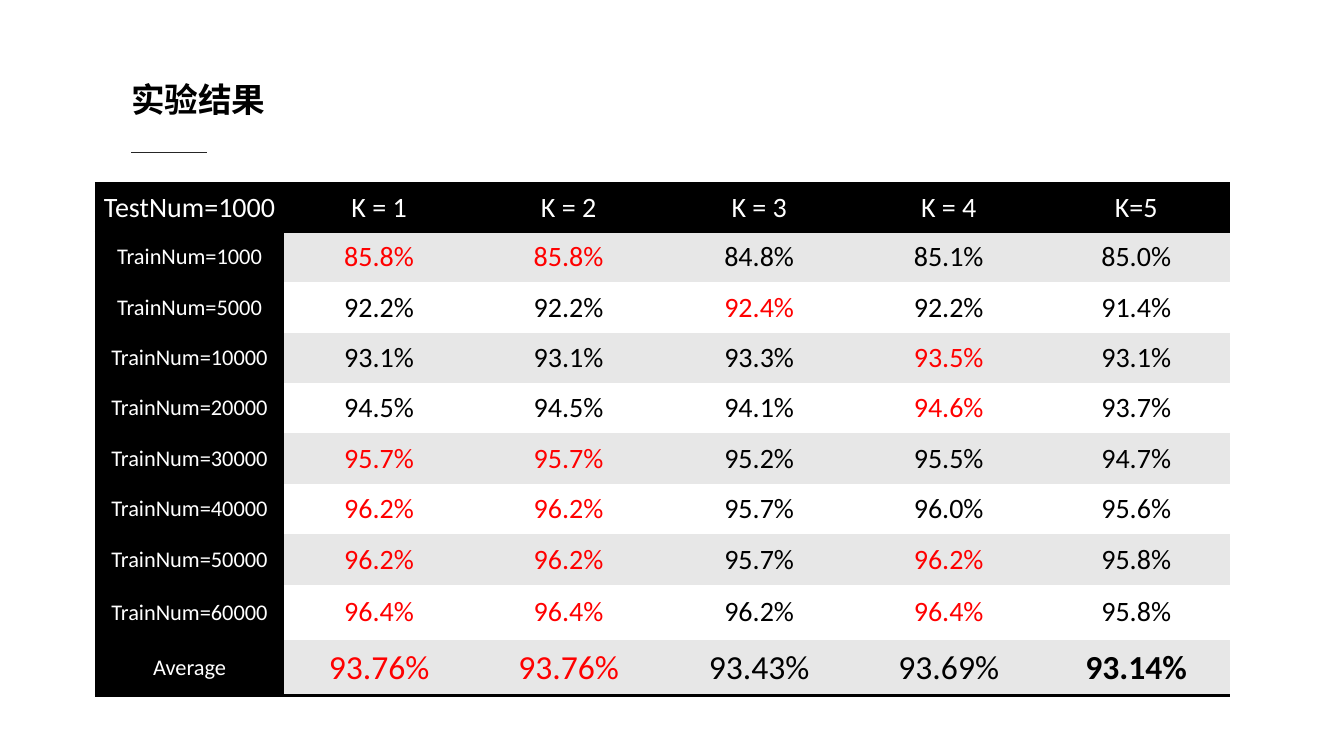
"""Build the slide of test results by training size and K."""
from dataclasses import dataclass

from lxml.etree import SubElement as Sub
from pptx import Presentation
from pptx.dml.color import RGBColor as Rgb
from pptx.enum.shapes import MSO_CONNECTOR as Conn
from pptx.enum.text import MSO_ANCHOR as Anchor, MSO_AUTO_SIZE as Auto, PP_ALIGN as Align
from pptx.oxml.ns import qn
from pptx.slide import Slide
from pptx.table import _Cell as Cell
from pptx.text.text import _Paragraph as Para
from pptx.util import Inches, Pt


@dataclass(frozen=True)
class Theme:
    black: str = "000000"
    white: str = "FFFFFF"
    band: str = "E7E7E7"
    best: str = "FF0000"
    rule: str = "262626"
    latin: str = "Calibri"
    han: str = "Noto Sans CJK SC"
    title: int = 24
    total: int = 24
    value: int = 20
    label: int = 16
    edge: int = 2
    plain: str = "{2D5ABB26-0587-4C30-8999-92F81FD0307C}"


@dataclass(frozen=True)
class Look:
    size: int
    color: str
    font: str
    bold: bool = False


@dataclass(frozen=True)
class Result:
    label: str
    rates: tuple[str, ...]
    total: bool = False


THEME = Theme()
HEADS = ("TestNum=1000", "K = 1", "K = 2", "K = 3", "K = 4", "K=5")
RESULTS = (
    Result("TrainNum=1000", ("85.8%", "85.8%", "84.8%", "85.1%", "85.0%")),
    Result("TrainNum=5000", ("92.2%", "92.2%", "92.4%", "92.2%", "91.4%")),
    Result("TrainNum=10000", ("93.1%", "93.1%", "93.3%", "93.5%", "93.1%")),
    Result("TrainNum=20000", ("94.5%", "94.5%", "94.1%", "94.6%", "93.7%")),
    Result("TrainNum=30000", ("95.7%", "95.7%", "95.2%", "95.5%", "94.7%")),
    Result("TrainNum=40000", ("96.2%", "96.2%", "95.7%", "96.0%", "95.6%")),
    Result("TrainNum=50000", ("96.2%", "96.2%", "95.7%", "96.2%", "95.8%")),
    Result("TrainNum=60000", ("96.4%", "96.4%", "96.2%", "96.4%", "95.8%")),
    Result("Average", ("93.76%", "93.76%", "93.43%", "93.69%", "93.14%"), True),
)
WIDTHS = (1.88, 1.88, 1.88, 1.9, 1.86, 1.86)
HEIGHTS = (0.48, *[0.5] * 7, 0.55, 0.55)


def add_run(para: Para, text: str, look: Look) -> None:
    """Add one styled run to a paragraph."""
    run = para.add_run()
    run.text = text
    font = run.font
    font.size, font.bold, font.name = Pt(look.size), look.bold, look.font
    font.color.rgb = Rgb.from_string(look.color)
    Sub(run._r.get_or_add_rPr(), qn("a:ea"), typeface=look.font)


def add_edge(cell: Cell, side: str) -> None:
    """Draw a solid border on one side of a cell."""
    line = Sub(cell._tc.get_or_add_tcPr(), qn(f"a:ln{side}"), w=str(Pt(THEME.edge)))
    Sub(Sub(line, qn("a:solidFill")), qn("a:srgbClr"), val=THEME.black)


def fill_cell(cell: Cell, text: str, look: Look, fill: str, edges: str) -> None:
    """Set the borders, fill and text of a cell."""
    for side in edges:
        add_edge(cell, side)
    cell.fill.solid()
    cell.fill.fore_color.rgb = Rgb.from_string(fill)
    cell.vertical_anchor = Anchor.MIDDLE
    cell.margin_left = cell.margin_right = Inches(0.03)
    cell.margin_top = cell.margin_bottom = Inches(0.03)
    para = cell.text_frame.paragraphs[0]
    para.alignment = Align.CENTER
    add_run(para, text, look)


def add_title(slide: Slide) -> None:
    """Add the heading and the short rule below it."""
    box = slide.shapes.add_textbox(Inches(1.23), Inches(0.74), Inches(4.6), Inches(0.48))
    frame = box.text_frame
    frame.word_wrap, frame.auto_size = True, Auto.SHAPE_TO_FIT_TEXT
    frame.margin_left = frame.margin_right = Inches(0.07)
    frame.margin_top = frame.margin_bottom = Inches(0.04)
    add_run(frame.paragraphs[0], "实验结果", Look(THEME.title, THEME.black, THEME.han, True))
    rule = slide.shapes.add_connector(
        Conn.STRAIGHT, Inches(1.3), Inches(1.51), Inches(2.05), Inches(1.51))
    rule.line.color.rgb = Rgb.from_string(THEME.rule)
    rule.line.width = Pt(0.75)
    Sub(rule.element.spPr, qn("a:effectLst"))


def add_grid(slide: Slide) -> None:
    """Add the table, with the best rates of each row in red."""
    frame = slide.shapes.add_table(
        len(HEIGHTS), len(WIDTHS), Inches(0.94), Inches(1.82),
        Inches(sum(WIDTHS)), Inches(sum(HEIGHTS)))
    for style in frame.element.iter(qn("a:tableStyleId")):
        style.text = THEME.plain
    grid = frame.table
    grid.horz_banding = False
    for col, width in zip(grid.columns, WIDTHS):
        col.width = Inches(width)
    for row, height in zip(grid.rows, HEIGHTS):
        row.height = Inches(height)
    head = Look(THEME.value, THEME.white, THEME.latin)
    label = Look(THEME.label, THEME.white, THEME.latin)
    for col, text in enumerate(HEADS):
        fill_cell(grid.cell(0, col), text, head, THEME.black, "TB")
    for row, result in enumerate(RESULTS, 1):
        edges = "B" if result.total else ""
        fill = THEME.band if row % 2 else THEME.white
        size = THEME.total if result.total else THEME.value
        top = max(result.rates)
        fill_cell(grid.cell(row, 0), result.label, label, THEME.black, edges)
        for col, rate in enumerate(result.rates, 1):
            color = THEME.best if rate == top else THEME.black
            bold = result.total and col == len(result.rates)
            look = Look(size, color, THEME.latin, bold)
            fill_cell(grid.cell(row, col), rate, look, fill, edges)


def main() -> None:
    """Build and save the deck."""
    deck = Presentation()
    deck.slide_width, deck.slide_height = Inches(13.33), Inches(7.5)
    slide = deck.slides.add_slide(deck.slide_layouts[6])
    add_title(slide)
    add_grid(slide)
    deck.save("out.pptx")


if __name__ == "__main__":
    main()
